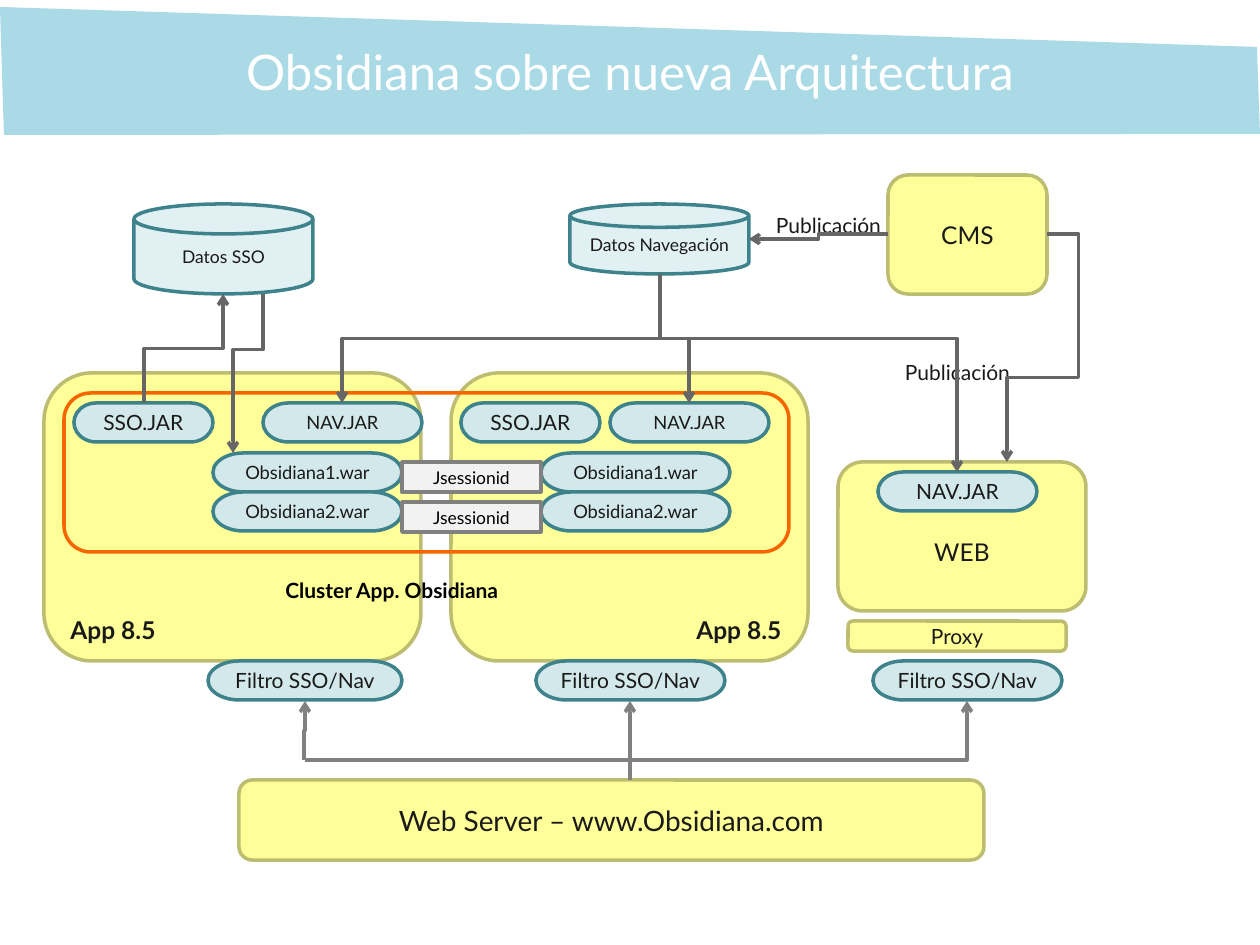
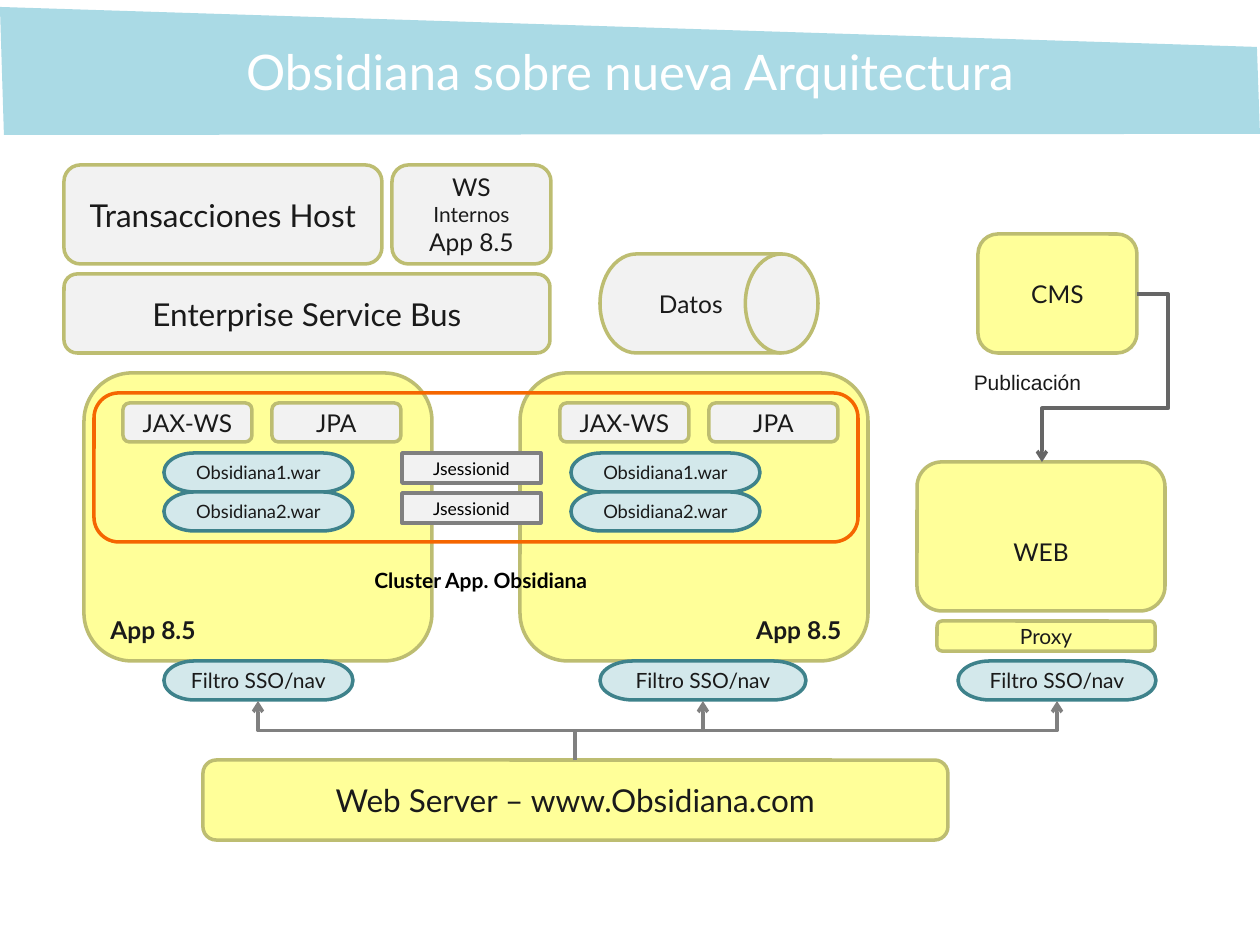
"""Build two architecture slides that share a title band and server blocks."""
from lxml.etree import SubElement
from pptx import Presentation
from pptx.dml.color import RGBColor
from pptx.enum.shapes import MSO_CONNECTOR, MSO_SHAPE as SHAPE
from pptx.enum.text import MSO_ANCHOR as ANCHOR, PP_ALIGN as ALIGN
from pptx.oxml.ns import qn
from pptx.util import Pt

PX = 914400 / 126
BAND = RGBColor(0xAA, 0xDA, 0xE5)
WHITE = RGBColor(0xFF, 0xFF, 0xFF)
BLACK = RGBColor(0, 0, 0)
INK = RGBColor(0x1A, 0x1A, 0x1A)
YELLOW = RGBColor(0xFF, 0xFF, 0x99)
OLIVE = RGBColor(0xBD, 0xBD, 0x71)
MIST = RGBColor(0xE1, 0xF0, 0xF2)
AQUA = RGBColor(0xD3, 0xE8, 0xEB)
TEAL = RGBColor(0x3E, 0x82, 0x8B)
PALE = RGBColor(0xF2, 0xF2, 0xF2)
GREY = RGBColor(0x80, 0x80, 0x80)
DARK = RGBColor(0x66, 0x66, 0x66)
ORANGE = RGBColor(0xF5, 0x66, 0x00)

SERVER = (SHAPE.ROUNDED_RECTANGLE, YELLOW, OLIVE)
SERVICE = (SHAPE.ROUNDED_RECTANGLE, PALE, OLIVE)
PILL = (SHAPE.FLOWCHART_TERMINATOR, AQUA, TEAL)
DISK = (SHAPE.FLOWCHART_MAGNETIC_DISK, MIST, TEAL)
DRUM = (SHAPE.FLOWCHART_DIRECT_ACCESS_STORAGE, PALE, OLIVE)
SESSION = (SHAPE.RECTANGLE, PALE, GREY)
CLUSTER = (SHAPE.ROUNDED_RECTANGLE, None, ORANGE)
LABEL = (None, None, None)


def box(s, style, x, y, w, h, text="", size=12, color=INK, bold=False,
        align=ALIGN.CENTER, font="Lato"):
    """Draw a styled shape or text box; size may be one value per line."""
    kind, fill, line = style
    frame = [round(v * PX) for v in (x, y, w, h)]
    if kind is None:
        sp = s.shapes.add_textbox(*frame)
    else:
        sp = s.shapes.add_shape(kind, *frame)
        sp.shadow.inherit = False
        sp.line.color.rgb = line
        sp.line.width = Pt(2)
        if fill is None:
            sp.fill.background()
        else:
            sp.fill.solid()
            sp.fill.fore_color.rgb = fill
    tf = sp.text_frame
    tf.word_wrap = True
    tf.vertical_anchor = ANCHOR.TOP if kind is None else ANCHOR.MIDDLE
    lines = text.split("\n") if text else []
    sizes = size if isinstance(size, tuple) else (size,) * len(lines)
    for i, (words, pt) in enumerate(zip(lines, sizes)):
        p = tf.add_paragraph() if i else tf.paragraphs[0]
        p.alignment = align
        r = p.add_run()
        r.text = words
        r.font.name, r.font.size, r.font.bold = font, Pt(pt), bold
        r.font.color.rgb = color
    return sp


def arrow(s, color, start, end, bends=(0.5,), upright=True):
    """Draw an elbow arrow; an upright one leaves its start vertically."""
    (x1, y1), (x2, y2) = start, end
    down = y2 > y1
    if upright:
        cx, cy = (x1 + x2) / 2, (y1 + y2) / 2
        run = abs(y2 - y1) / 2
        rise = (x1 - x2 if down else x2 - x1) / 2
        x1, y1, x2, y2 = cx - run, cy - rise, cx + run, cy + rise
    c = s.shapes.add_connector(MSO_CONNECTOR.ELBOW, *[round(v * PX) for v in (x1, y1, x2, y2)])
    c.line.color.rgb = color
    c.line.width = Pt(2)
    spPr = c._element.spPr
    if upright:
        spPr.find(qn("a:xfrm")).set("rot", str((90 if down else 270) * 60000))
    geom = spPr.find(qn("a:prstGeom"))
    geom.set("prst", f"bentConnector{len(bends) + 2}")
    guides = geom.find(qn("a:avLst"))
    if guides is None:
        guides = SubElement(geom, qn("a:avLst"))
    for i, bend in enumerate(bends, 1):
        SubElement(guides, qn("a:gd"), name=f"adj{i}", fmla=f"val {round(bend * 100000)}")
    SubElement(spPr.find(qn("a:ln")), qn("a:tailEnd"), type="arrow")
    SubElement(spPr, qn("a:effectLst"))


prs = Presentation()
prs.slide_width = round(1260 * PX)
prs.slide_height = round(945 * PX)

layouts = [
    dict(apps=((44, 377), (451, 357)), portal=838, proxy=848, cms=(888, 175),
         web=(239, 780, 16), filters=((208, 194), (536, 189), (873, 189)),
         filter_text="Filtro SSO/Nav", wars=(213, 541), session_y=462,
         ring=(64, 393, 725, 159), caption=(273, 571)),
    dict(apps=((84, 348), (520, 348)), portal=917, proxy=937, cms=(978, 234),
         web=(203, 760, 18), filters=((164, 189), (600, 206), (958, 198)),
         filter_text="Filtro SSO/nav", wars=(164, 571), session_y=453,
         ring=(94, 393, 764, 149), caption=(362, 561)),
]

for d in layouts:
    s = prs.slides.add_slide(prs.slide_layouts[6])
    fb = s.shapes.build_freeform(0, 7, scale=PX)
    fb.add_line_segments([(4, 135), (1260, 134), (1257, 47)])
    band = fb.convert_to_shape()
    band.shadow.inherit = False
    band.fill.solid()
    band.fill.fore_color.rgb = BAND
    band.line.fill.background()
    box(s, LABEL, 0, 39, 1260, 64, "Obsidiana sobre nueva Arquitectura", 28,
        WHITE).text_frame.vertical_anchor = ANCHOR.MIDDLE

    for (x, w), align in zip(d["apps"], (ALIGN.LEFT, ALIGN.RIGHT)):
        tf = box(s, SERVER, x, 373, w, 288, "App 8.5", 14, bold=True, align=align).text_frame
        tf.vertical_anchor = ANCHOR.BOTTOM
        tf.margin_bottom = round(2 * PX)
    portal = box(s, SERVER, d["portal"], 462, 248, 149, "WEB", 14)
    portal.text_frame.margin_top = round(37 * PX)
    box(s, SERVER, *d["cms"], 159, 119, "CMS", 14)
    box(s, SERVER, d["proxy"], 621, 218, 30, "Proxy")
    x, y, size = d["web"]
    box(s, SERVER, x, y, 745, 80, "Web Server – www.Obsidiana.com", size)
    for x, w in d["filters"]:
        box(s, PILL, x, 661, w, 39, d["filter_text"])
    box(s, CLUSTER, *d["ring"])
    for i in range(2):
        for x in d["wars"]:
            box(s, PILL, x, 453 + 39 * i, 189, 39, f"Obsidiana{i + 1}.war", 10.5)
        box(s, SESSION, 402, d["session_y"] + 40 * i, 139, 30, "Jsessionid", 10, BLACK)
    box(s, LABEL, *d["caption"], 277, 38, "Cluster App. Obsidiana", 12, BLACK, True, ALIGN.LEFT)

s1, s2 = prs.slides

box(s1, DISK, 134, 204, 179, 90, "Datos SSO", 10)
box(s1, DISK, 570, 204, 179, 70, "Datos Navegación", 10)
for x in (74, 461):
    box(s1, PILL, x, 403, 139, 39, "SSO.JAR")
for x, y, size in ((263, 403, 10.5), (610, 403, 10.5), (878, 472, 12)):
    box(s1, PILL, x, y, 159, 39, "NAV.JAR", size)
for x, y in ((878, 353), (749, 206)):
    box(s1, LABEL, x, y, 159, 38, "Publicación")

arrow(s1, DARK, (263, 294), (233, 453), (0.35,))
arrow(s1, DARK, (144, 403), (223, 294))
for end, bend in (((342, 403), 0.5), ((689, 403), 0.5), ((957, 472), 0.325)):
    arrow(s1, DARK, (660, 274), end, (bend,))
arrow(s1, DARK, (888, 234), (749, 239), upright=False)
arrow(s1, DARK, (1047, 234), (1007, 462), (-0.79, 0.63), upright=False)
arrow(s1, GREY, (305, 760), (967, 701), (), upright=False)
arrow(s1, GREY, (304, 760), (305, 701))
arrow(s1, GREY, (630, 780), (630, 701))

box(s2, SERVICE, 64, 274, 486, 79, "Enterprise Service Bus", 18)
box(s2, SERVICE, 64, 165, 318, 99, "Transacciones Host", 18)
box(s2, SERVICE, 392, 165, 159, 99, "WS\nInternos\nApp 8.5", (14, 12, 14))
box(s2, DRUM, 600, 254, 218, 99, "Datos", 14)
for x in (123, 560):
    box(s2, SERVICE, x, 403, 129, 39, "JAX-WS", 14)
    box(s2, SERVICE, x + 149, 403, 129, 39, "JPA", 14)
box(s2, LABEL, 948, 363, 159, 38, "Publicación", font="Arial")

arrow(s2, DARK, (1137, 294), (1042, 462), (-0.33, 0.68), upright=False)
for x in (258, 703, 1057):
    arrow(s2, GREY, (575, 760), (x, 701))

prs.save("out.pptx")
